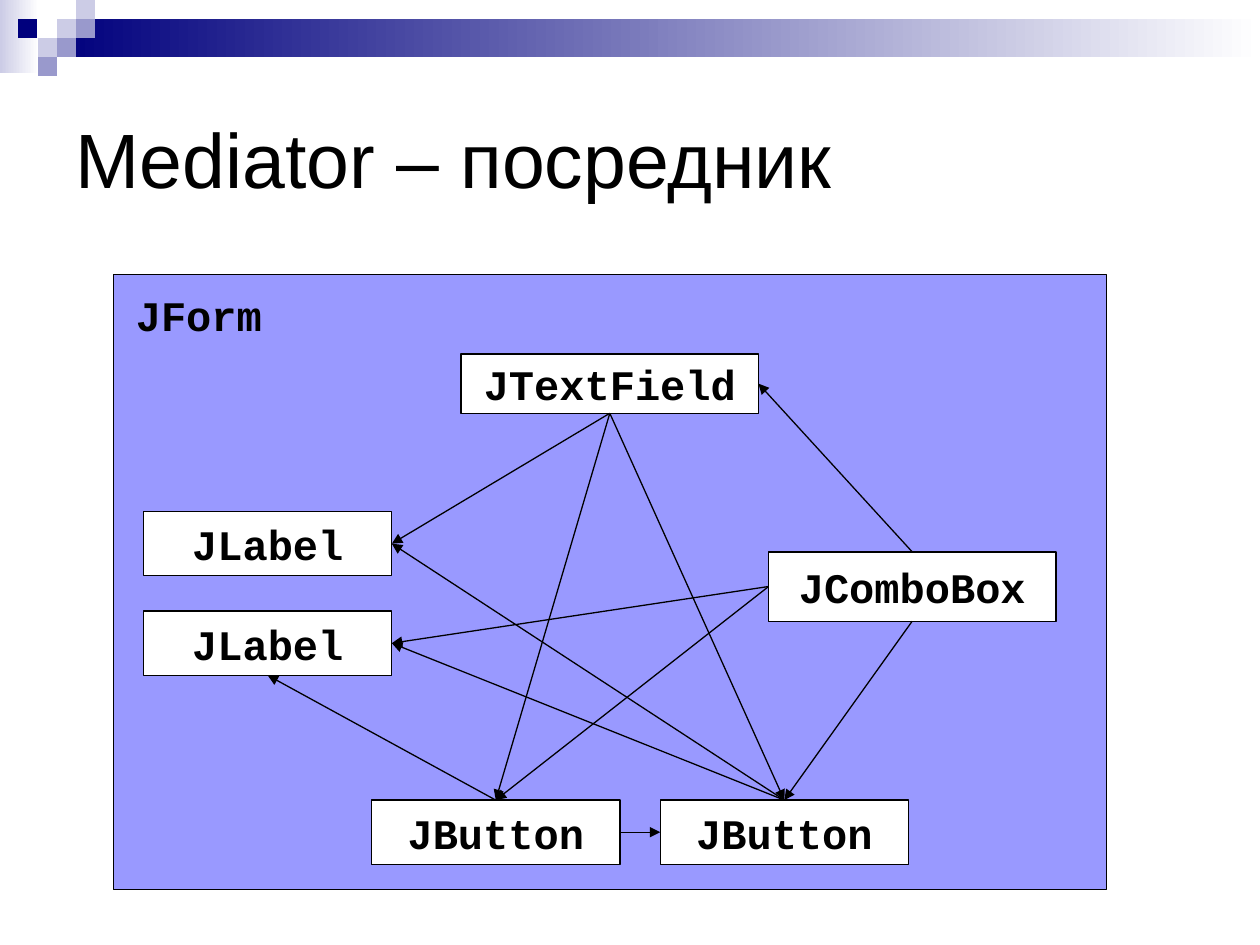
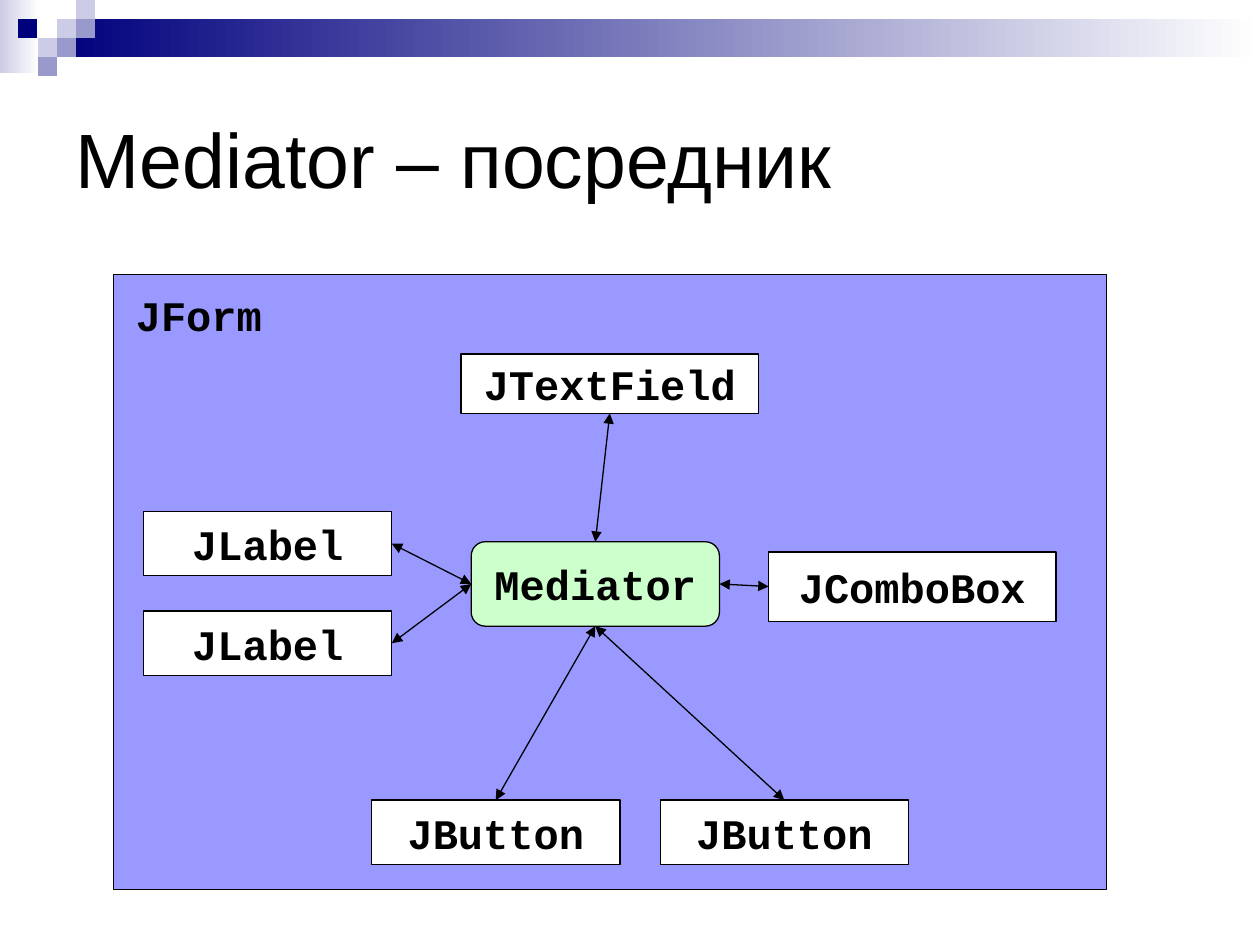
from dataclasses import dataclass
from typing import Optional

from lxml import etree
from pptx import Presentation
from pptx.dml.color import RGBColor
from pptx.enum import shapes, text
from pptx.oxml import ns
from pptx import util as u

COLORS = {
    "black": "000000", "white": "FFFFFF", "navy": "00007D", "pale": "CCCCE6",
    "mauve": "9999CC", "form": "9999FF", "mediator": "CCFFCC",
}
TITLE = "Mediator – посредник"
PROCESS = shapes.MSO_SHAPE.FLOWCHART_PROCESS
ROUNDED = shapes.MSO_SHAPE.FLOWCHART_ALTERNATE_PROCESS
TOP, LEFT, BOTTOM, RIGHT = range(4)  # connection sites of a box
CELL = 0.15  # side of a header square


@dataclass(frozen=True)
class Box:
    left: float
    top: float
    width: float
    height: float
    label: str = ""
    fill: str = "white"
    kind: int = PROCESS


@dataclass(frozen=True)
class Arrow:
    source: str
    source_site: int
    target: str
    target_site: int


# Header: two fading bands and the squares over them
BANDS = [
    Box(0, 0, 0.31, 0.58, fill="pale"),
    Box(0.45, 0.15, 9.55, 0.3, fill="navy"),
]
SQUARES = [
    (0.45, 0.15, "pale"), (0.6, 0, "pale"), (0.6, 0.15, "mauve"),
    (0.3, 0.3, "pale"), (0.14, 0.15, "navy"), (0.45, 0.3, "mauve"),
    (0.3, 0.45, "mauve"),
]

# Form and its widgets
FORM = Box(0.9, 2.18, 7.88, 4.88, fill="form")
SMALL = (1.97, 0.51)
WIDGETS = {
    "field": Box(3.66, 2.81, 2.36, 0.47, "JTextField"),
    "combo": Box(6.1, 4.38, 2.28, 0.55, "JComboBox"),
    "button2": Box(5.24, 6.35, *SMALL, "JButton"),
    "button1": Box(2.95, 6.35, *SMALL, "JButton"),
    "label1": Box(1.14, 4.06, *SMALL, "JLabel"),
    "label2": Box(1.14, 4.85, *SMALL, "JLabel"),
}
MEDIATOR = Box(3.74, 4.3, 1.97, 0.67, "Mediator", "mediator", ROUNDED)

DIRECT_ARROWS = [
    Arrow("field", BOTTOM, "button1", TOP),
    Arrow("field", BOTTOM, "label1", RIGHT),
    Arrow("field", BOTTOM, "button2", TOP),
    Arrow("combo", LEFT, "label2", RIGHT),
    Arrow("combo", TOP, "field", RIGHT),
    Arrow("combo", BOTTOM, "button2", TOP),
    Arrow("combo", LEFT, "button1", TOP),
    Arrow("button1", TOP, "label2", BOTTOM),
    Arrow("button1", RIGHT, "button2", LEFT),
    Arrow("button2", TOP, "label1", RIGHT),
    Arrow("button2", TOP, "label2", RIGHT),
]
MEDIATED_ARROWS = [
    Arrow("field", BOTTOM, "mediator", TOP),
    Arrow("label1", RIGHT, "mediator", LEFT),
    Arrow("label2", RIGHT, "mediator", LEFT),
    Arrow("mediator", BOTTOM, "button1", TOP),
    Arrow("mediator", BOTTOM, "button2", TOP),
    Arrow("mediator", RIGHT, "combo", LEFT),
]


def rgb(name: str) -> RGBColor:
    return RGBColor.from_string(COLORS[name])


def write(shape, words: str, *, size: float = 24, font: str = "Courier New",
          bold: bool = True, align=text.PP_ALIGN.CENTER,
          anchor=text.MSO_ANCHOR.MIDDLE, wrap: bool = False,
          fit=text.MSO_AUTO_SIZE.NONE) -> None:
    frame = shape.text_frame
    frame.word_wrap, frame.auto_size = wrap, fit
    frame.vertical_anchor = anchor
    paragraph = frame.paragraphs[0]
    paragraph.alignment = align
    run = paragraph.add_run()
    run.text = words
    run.font.name, run.font.size, run.font.bold = font, u.Pt(size), bold
    run.font.color.rgb = rgb("black")


def place(box: Box) -> list:
    return [u.Inches(v) for v in (box.left, box.top, box.width, box.height)]


def draw_box(slide, box: Box, *, outline: bool = True, fade: bool = False):
    shape = slide.shapes.add_shape(box.kind, *place(box))
    shape.shadow.inherit = False
    if fade:
        shape.fill.gradient()
        shape.fill.gradient_angle = 0
        for stop, color in zip(shape.fill.gradient_stops, (box.fill, "white")):
            stop.color.rgb = rgb(color)
    else:
        shape.fill.solid()
        shape.fill.fore_color.rgb = rgb(box.fill)
    if outline:
        shape.line.color.rgb = rgb("black")
        shape.line.width = u.Pt(0.75)
    else:
        shape.line.fill.background()
    if box.label:
        write(shape, box.label)
    return shape


def draw_arrow(slide, arrow: Arrow, drawn: dict, *, both_ends: bool) -> None:
    link = slide.shapes.add_connector(shapes.MSO_CONNECTOR.STRAIGHT, 0, 0, 0, 0)
    link.begin_connect(drawn[arrow.source], arrow.source_site)
    link.end_connect(drawn[arrow.target], arrow.target_site)
    link.line.color.rgb = rgb("black")
    link.line.width = u.Pt(0.75)
    line = link.line._get_or_add_ln()
    for end in ("headEnd", "tailEnd") if both_ends else ("tailEnd",):
        etree.SubElement(line, ns.qn(f"a:{end}"), type="triangle")
    etree.SubElement(link._element.spPr, ns.qn("a:effectLst"))


def draw_header(slide) -> None:
    for band in BANDS:
        draw_box(slide, band, outline=False, fade=True)
    for left, top, color in SQUARES:
        draw_box(slide, Box(left, top, CELL, CELL, fill=color), outline=False)


def add_form_slide(deck, arrows: list[Arrow],
                   mediator: Optional[Box] = None) -> None:
    slide = deck.slides.add_slide(deck.slide_layouts.get_by_name("Title Only"))
    draw_header(slide)

    # Title
    title = slide.shapes.title
    title.left, title.top, title.width, title.height = place(Box(0.5, 0.5, 9, 1.5))
    write(title, TITLE, size=44, font="Arial", bold=False,
          align=text.PP_ALIGN.LEFT, wrap=True)

    # Form with its caption
    draw_box(slide, FORM)
    caption = slide.shapes.add_textbox(*place(Box(0.98, 2.25, 1.34, 0.5)))
    write(caption, "JForm", align=text.PP_ALIGN.LEFT, wrap=True,
          anchor=text.MSO_ANCHOR.TOP, fit=text.MSO_AUTO_SIZE.SHAPE_TO_FIT_TEXT)

    # Widgets and the arrows between them
    parts = {**WIDGETS, "mediator": mediator} if mediator else WIDGETS
    drawn = {key: draw_box(slide, box) for key, box in parts.items()}
    for arrow in arrows:
        draw_arrow(slide, arrow, drawn, both_ends=mediator is not None)


deck = Presentation()
deck.slide_width, deck.slide_height = u.Inches(10), u.Inches(7.5)
add_form_slide(deck, DIRECT_ARROWS)
add_form_slide(deck, MEDIATED_ARROWS, MEDIATOR)
deck.save("out.pptx")
